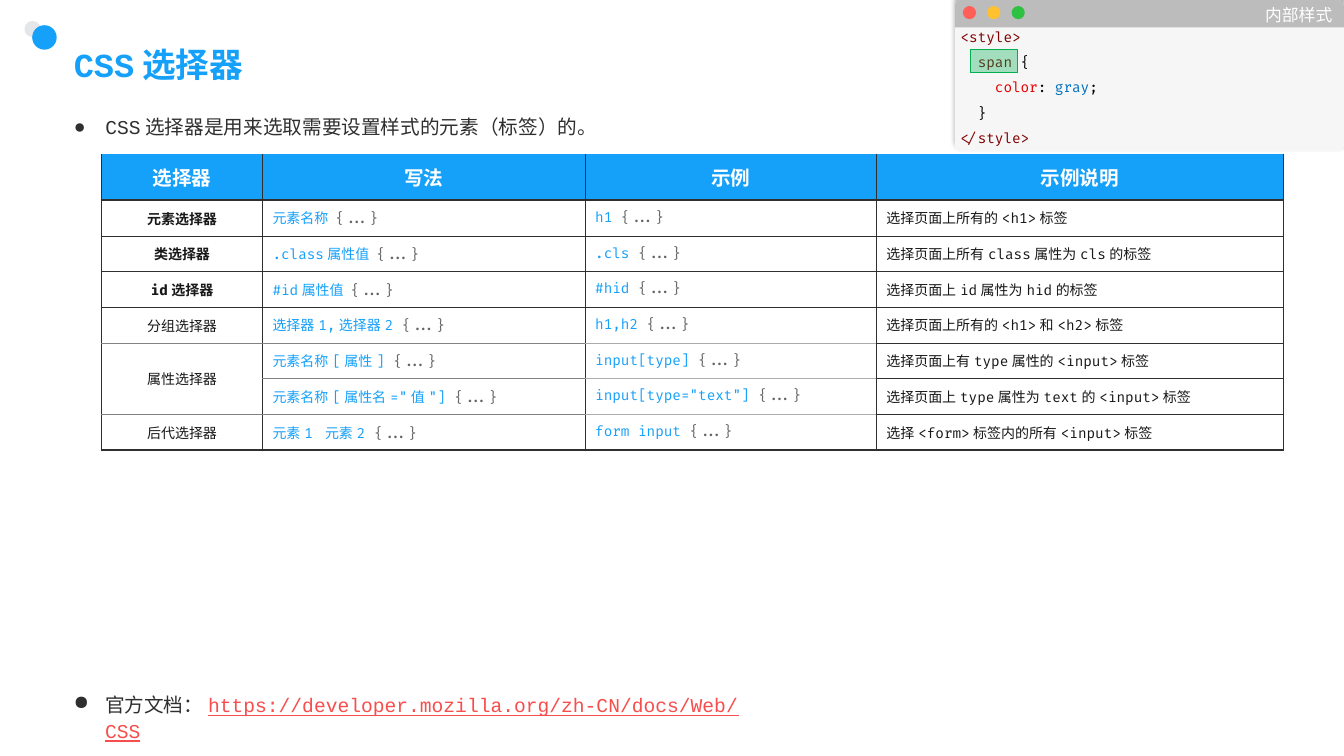
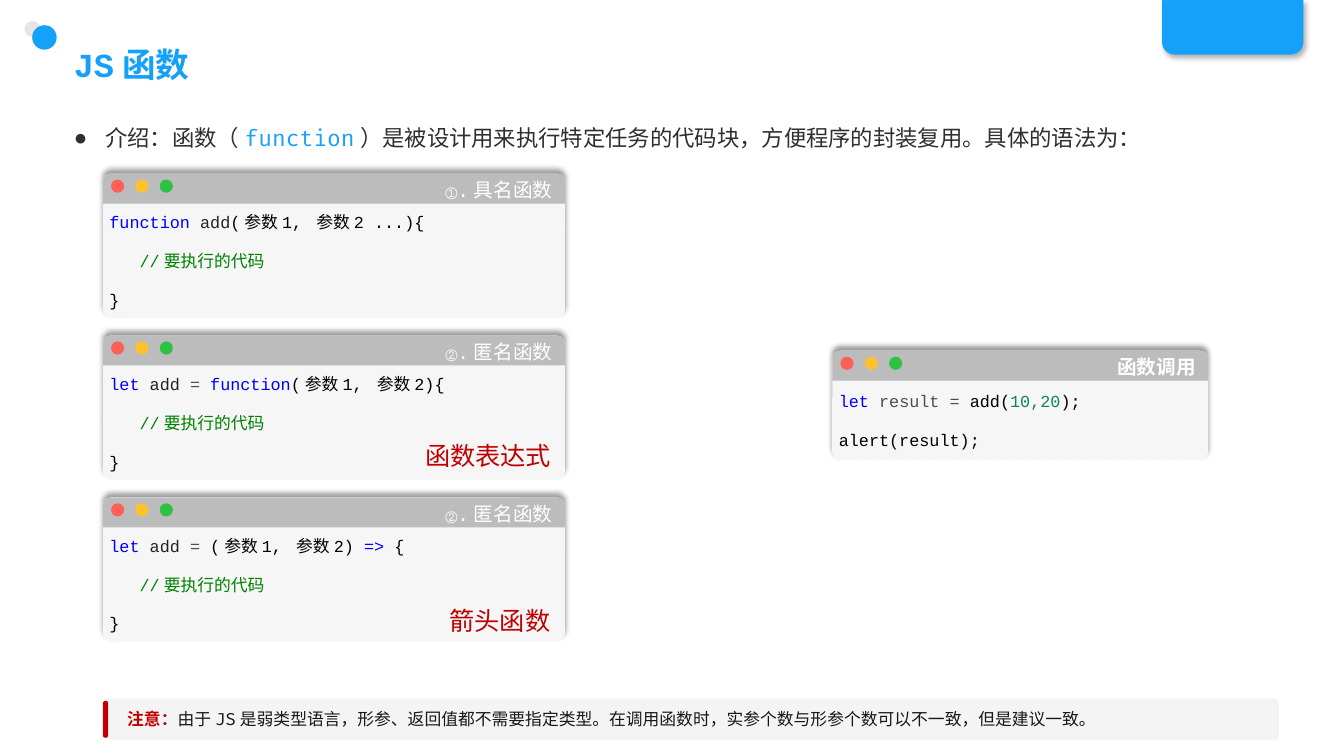
from typing import NamedTuple, Optional

from lxml.etree import SubElement
from pptx import Presentation
from pptx.dml.color import RGBColor
from pptx.enum.shapes import MSO_SHAPE
from pptx.enum.text import MSO_ANCHOR, MSO_AUTO_SIZE, PP_ALIGN
from pptx.oxml.ns import qn
from pptx.util import Pt

BLUE, INK, BLACK, WHITE = "15A0FA", "2F2F2F", "000000", "FFFFFF"
TEXT, GRAY, RED = "181818", "636363", "C00000"
TAG, KEYWORD, NAME, OPERATOR, COMMENT = "800000", "0000FF", "232323", "4E4E4E", "008000"
MONO, CODE, SANS = "Courier New", "Fira Code", "Noto Sans CJK JP"


class Run(NamedTuple):
    text: str
    color: str = TEXT
    bold: Optional[bool] = None
    underline: Optional[bool] = None


class WindowStyle(NamedTuple):
    """Type and measures of a code window, in points."""
    font: str = MONO
    size: float = 12
    gap: float = 6
    bottom_inset: float = 0
    heading_font: str = MONO
    heading_size: float = 14
    header_height: float = 21.5
    radius: float = 5.8


COMPACT_WINDOW = WindowStyle(CODE, 10, 0, 3.6, SANS, 12, 19.5, 4)


def rgb(color):
    return RGBColor.from_string(color)


def add_element(parent, tag, **attributes):
    return SubElement(parent, qn(tag), {key: str(value) for key, value in attributes.items()})


def add_bullet(paragraph):
    properties = paragraph._p.get_or_add_pPr()
    properties.set("marL", str(Pt(22.5)))
    properties.set("indent", str(Pt(-22.5)))
    add_element(properties, "a:buChar", char="●")


def add_shadow(shape, opacity, angle):
    effects = shape._element.spPr.find(qn("a:effectLst"))
    shadow = add_element(effects, "a:outerShdw", blurRad=Pt(4), dist=Pt(3),
                         dir=angle * 60000, algn="ctr", rotWithShape=0)
    color = add_element(shadow, "a:srgbClr", val=BLACK)
    add_element(color, "a:alpha", val=opacity * 1000)


def set_border(cell, side, width, color=INK):
    """Draw one side (L, R, T or B) of a cell; width 0 hides it."""
    line = add_element(cell._tc.get_or_add_tcPr(), f"a:ln{side}", w=Pt(width))
    if width:
        add_element(add_element(line, "a:solidFill"), "a:srgbClr", val=color)
    else:
        add_element(line, "a:noFill")


def place(shape, left, top, width, height):
    shape.left, shape.top, shape.width, shape.height = map(Pt, (left, top, width, height))


def write(frame, paragraphs, font, size, bold=False, align=PP_ALIGN.LEFT,
          spacing=1.0, gap=0, bullet=False):
    """Fill a text frame; each paragraph is a list of runs."""
    frame.word_wrap = True
    for index, runs in enumerate(paragraphs):
        paragraph = frame.add_paragraph() if index else frame.paragraphs[0]
        if bullet:
            add_bullet(paragraph)
        paragraph.alignment = align
        paragraph.line_spacing = spacing
        paragraph.space_before = Pt(gap if index else 0)
        paragraph.font.name = font
        paragraph.font.size = Pt(size)
        paragraph.font.bold = bold
        for item in runs:
            run = paragraph.add_run()
            run.text = item.text
            run.font.color.rgb = rgb(item.color)
            run.font.bold = item.bold
            run.font.underline = item.underline


class Deck:
    def __init__(self):
        self.presentation = Presentation()
        self.presentation.slide_width = Pt(960)
        self.presentation.slide_height = Pt(540)
        self.slide = None

    def new_slide(self, title):
        self.slide = self.presentation.slides.add_slide(self.presentation.slide_layouts[1])
        tab = self.shape(MSO_SHAPE.ROUND_2_SAME_RECTANGLE, 830, 0, 101, 39, BLUE, (0, 0.23))
        add_shadow(tab, 30, 60)
        self.shape(MSO_SHAPE.OVAL, 17.5, 15, 11.5, 11.5, "E4E6EA")
        self.shape(MSO_SHAPE.OVAL, 23, 18, 17.5, 17.5, BLUE)
        heading = self.slide.shapes.title
        place(heading, 45.5, 26.5, 846, 37.5)
        self.prepare(heading, MSO_ANCHOR.BOTTOM)
        write(heading.text_frame, [[Run(title, BLUE)]], MONO, 24, bold=True)

    def prepare(self, shape, anchor):
        shape.text_frame.auto_size = MSO_AUTO_SIZE.NONE
        shape.text_frame.vertical_anchor = anchor

    def shape(self, kind, left, top, width, height, color, adjustments=(),
              opacity=None, parent=None):
        shapes = (parent or self.slide).shapes
        shape = shapes.add_shape(kind, *map(Pt, (left, top, width, height)))
        shape.shadow.inherit = False
        shape.fill.solid()
        shape.fill.fore_color.rgb = rgb(color)
        shape.line.fill.background()
        for index, value in enumerate(adjustments):
            shape.adjustments[index] = value
        if opacity is not None:
            color_element = shape._element.spPr.find(qn("a:solidFill"))[0]
            add_element(color_element, "a:alpha", val=opacity * 1000)
        return shape

    def body(self, left, top, width, height, runs, font, size, spacing):
        body = self.slide.placeholders[1]
        place(body, left, top, width, height)
        self.prepare(body, MSO_ANCHOR.TOP)
        write(body.text_frame, [runs], font, size, spacing=spacing, bullet=True)

    def text(self, left, top, width, height, runs, font, size, **options):
        box = self.slide.shapes.add_textbox(*map(Pt, (left, top, width, height)))
        write(box.text_frame, [runs], font, size, **options)

    def code_window(self, left, top, width, height, heading, lines,
                    style=WindowStyle(), bold=False):
        group = self.slide.shapes.add_group_shape()
        panel = self.shape(MSO_SHAPE.ROUNDED_RECTANGLE, left, top, width, height,
                           "F6F6F6", (style.radius / height,), parent=group)
        add_shadow(panel, 40, 270)
        frame = panel.text_frame
        frame.margin_left = frame.margin_right = Pt(3)
        frame.margin_top, frame.margin_bottom = Pt(14.4), Pt(style.bottom_inset)
        frame.vertical_anchor = MSO_ANCHOR.MIDDLE
        write(frame, lines, style.font, style.size, spacing=1.5, gap=style.gap)

        header = self.shape(MSO_SHAPE.ROUND_2_SAME_RECTANGLE, left, top, width,
                            style.header_height, "BCBCBC",
                            (style.radius / style.header_height, 0), parent=group)
        header.text_frame.vertical_anchor = MSO_ANCHOR.MIDDLE
        write(header.text_frame, [[Run(heading, WHITE)]], style.heading_font,
              style.heading_size, bold, PP_ALIGN.RIGHT)
        for index, color in enumerate(("FE5F56", "FFC12E", "2FC141")):
            self.shape(MSO_SHAPE.OVAL, left + 5.8 + 17.4 * index, top + 4.3, 9.4, 9.4,
                       color, parent=group)

    def note(self, left, top, width, height, runs):
        group = self.slide.shapes.add_group_shape()
        panel = self.shape(MSO_SHAPE.ROUNDED_RECTANGLE, left, top, width, height,
                           INK, (0.115,), opacity=5, parent=group)
        frame = panel.text_frame
        frame.margin_left = frame.margin_right = Pt(14.4)
        frame.vertical_anchor = MSO_ANCHOR.MIDDLE
        write(frame, [runs], CODE, 12)
        self.shape(MSO_SHAPE.ROUNDED_RECTANGLE, left - 2, top + 1.5, 3.8, height - 3,
                   RED, (0.5,), parent=group)

    def selector_table(self, left, top, widths, header, rows, bold_rows):
        header_height, row_height = 33, 25.5
        graphic = self.slide.shapes.add_table(
            len(rows) + 1, len(widths), Pt(left), Pt(top), Pt(sum(widths)),
            Pt(header_height + row_height * len(rows)))
        table = graphic.table
        table.first_row = table.horz_banding = False
        for column, width in zip(table.columns, widths):
            column.width = Pt(width)
        for index, row in enumerate(table.rows):
            row.height = Pt(row_height if index else header_height)

        def horizontal_rule(edge, column):
            if edge == 0:
                return 0, INK
            if edge in (1, len(rows) + 1):
                return 1.5, INK
            if edge < 5 or column == 3:
                return 0.25, INK
            return 0.5, "ACACAC" if column == 2 else "828282"

        def vertical_rule(edge, row):
            if edge in (0, len(widths)):
                return 1
            return 0.5 if (row, edge) == (0, 1) else 0.75

        header_cells = [[Run(label, WHITE)] for label in header]
        for row, cells in enumerate([header_cells, *rows]):
            for column, runs in enumerate(cells):
                cell = table.cell(row, column)
                cell.vertical_anchor = MSO_ANCHOR.MIDDLE
                set_border(cell, "L", vertical_rule(column, row))
                set_border(cell, "R", vertical_rule(column + 1, row))
                set_border(cell, "T", *horizontal_rule(row, column))
                set_border(cell, "B", *horizontal_rule(row + 1, column))
                if row:
                    cell.fill.background()
                else:
                    cell.fill.solid()
                    cell.fill.fore_color.rgb = rgb(BLUE)
                centred = row == 0 or column == 0
                if runs:
                    write(cell.text_frame, [runs], CODE if row else SANS, 10 if row else 14,
                          row == 0 or (column == 0 and row in bold_rows),
                          PP_ALIGN.CENTER if centred else PP_ALIGN.LEFT)
        return table


def selector_row(name, syntax, example, meaning):
    def rule(selector):
        return [Run(selector + " ", BLUE), Run("{...}", GRAY)]
    return [[Run(name)] if name else [], rule(syntax), rule(example), [Run(meaning)]]


def build_selector_slide(deck):
    deck.new_slide("CSS选择器")
    deck.body(45.5, 80.5, 600, 29.5,
              [Run("CSS选择器是用来选取需要设置样式的元素（标签）的。", INK)], MONO, 14, 0.9)
    rows = [selector_row(*cells) for cells in (
        ("元素选择器", "元素名称", "h1", "选择页面上所有的<h1>标签"),
        ("类选择器", ".class属性值", ".cls", "选择页面上所有class属性为cls的标签"),
        ("id选择器", "#id属性值", "#hid", "选择页面上id属性为hid的标签"),
        ("分组选择器", "选择器1,选择器2", "h1,h2", "选择页面上所有的<h1>和<h2>标签"),
        ("属性选择器", "元素名称[属性]", "input[type]", "选择页面上有type属性的<input>标签"),
        ("", '元素名称[属性名="值"]', 'input[type="text"]',
         "选择页面上type属性为text的<input>标签"),
        ("后代选择器", "元素1 元素2", "form input", "选择<form>标签内的所有<input>标签"),
    )]
    table = deck.selector_table(72.5, 110, (115, 230.5, 208, 291),
                                ("选择器", "写法", "示例", "示例说明"), rows, (1, 2, 3))
    table.cell(5, 0).merge(table.cell(6, 0))
    deck.text(45.5, 489.5, 512.5, 42, [
        Run("官方文档：", INK),
        Run("https://developer.mozilla.org/zh-CN/docs/Web/CSS", "F84D4D", underline=True),
    ], MONO, 14, spacing=1.1, bullet=True)
    deck.code_window(682, 0, 278, 108, "内部样式", [
        [Run("<style>", TAG)],
        [Run("  span ", TAG), Run("{", BLACK)],
        [Run("    color", "E50000"), Run(": ", BLACK), Run("gray", "0070C0"), Run(";", BLACK)],
        [Run("  }", BLACK)],
        [Run("</style>", TAG)],
    ], COMPACT_WINDOW)
    highlight = deck.shape(MSO_SHAPE.RECTANGLE, 693, 35.5, 34, 16.5, "00B050", opacity=34)
    highlight.line.color.rgb = rgb("00B050")
    highlight.line.width = Pt(0.5)


def build_function_slide(deck):
    deck.new_slide("JS函数")
    deck.body(45.5, 75.5, 871, 37.5, [
        Run("介绍：函数（", INK), Run("function", BLUE),
        Run("）是被设计用来执行特定任务的代码块，方便程序的封装复用。具体的语法为：", INK),
    ], CODE, 16, 1.5)
    assignment = [Run("let ", KEYWORD), Run("add", NAME), Run(" = ", OPERATOR)]
    definitions = (
        ("①.具名函数", [Run("function ", KEYWORD), Run("add", NAME),
                    Run("(参数1, 参数2 ...){", BLACK)]),
        ("②.匿名函数", assignment + [Run("function", KEYWORD), Run("(参数1, 参数2){", BLACK)]),
        ("②.匿名函数", assignment + [Run("(参数1, 参数2) ", BLACK), Run("=>", KEYWORD),
                                 Run(" {", BLACK)]),
    )
    for index, (heading, signature) in enumerate(definitions):
        deck.code_window(73.5, 124 + 115.6 * index, 330, 103, heading, [
            signature, [Run("   //要执行的代码", COMMENT)], [Run("}", BLACK)]])
    deck.text(296.5, 311, 107, 29, [Run("函数表达式", RED)], SANS, 18)
    deck.text(314, 429, 89.5, 29, [Run("箭头函数", RED)], SANS, 18)
    deck.code_window(594.5, 250.5, 268.5, 78, "函数调用", [
        [Run("let ", KEYWORD), Run("result =", OPERATOR), Run(" add(", BLACK),
         Run("10,20", "098658"), Run(");", BLACK)],
        [Run("alert(result);", BLACK)],
    ], bold=True)
    deck.note(75.5, 499, 838, 29.5, [
        Run("注意：", RED, bold=True),
        Run("由于JS是弱类型语言，形参、返回值都不需要指定类型。"
            "在调用函数时，实参个数与形参个数可以不一致，但是建议一致。"),
    ])


def main():
    deck = Deck()
    build_selector_slide(deck)
    build_function_slide(deck)
    deck.presentation.save("out.pptx")


if __name__ == "__main__":
    main()
